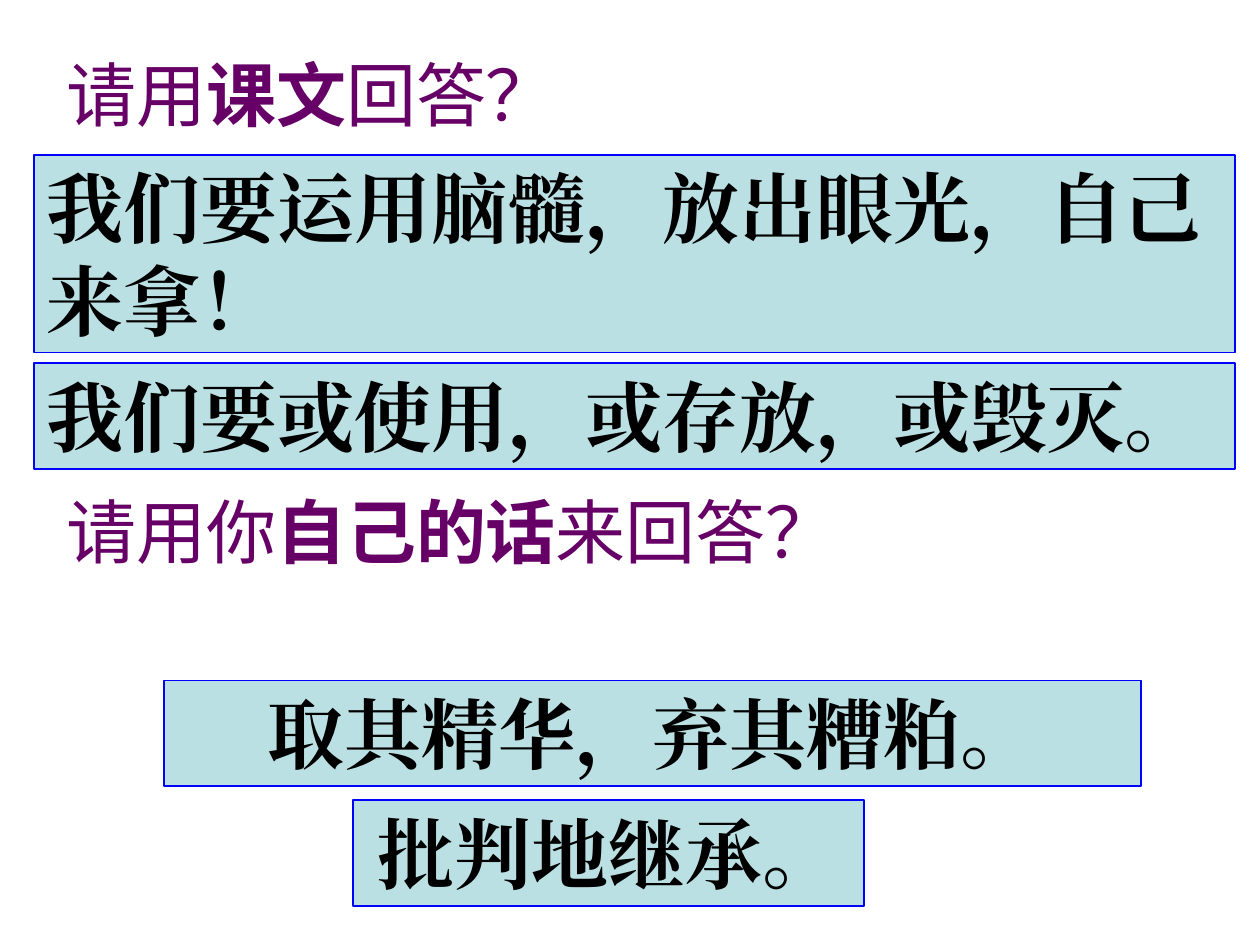
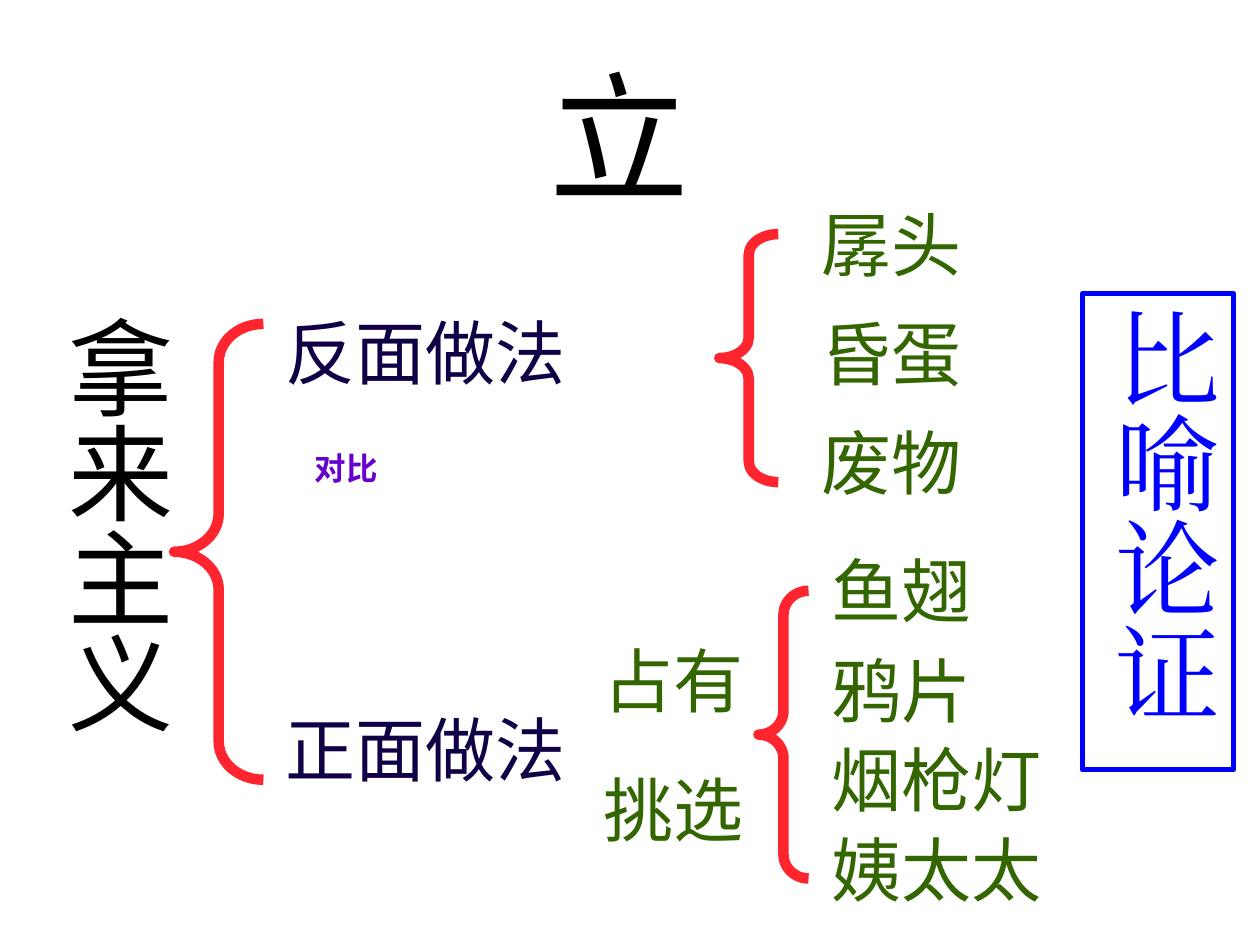
"""Build two lesson slides: questions with answers, and a bracketed outline of an essay."""
from pptx import Presentation
from pptx.dml.color import RGBColor
from pptx.enum.shapes import MSO_SHAPE
from pptx.enum.text import MSO_ANCHOR, PP_ALIGN
from pptx.oxml.ns import qn
from pptx.util import Cm, Pt
from lxml.etree import SubElement

BLACK, WHITE, BLUE = "000000", "FFFFFF", "0000FF"
PALE_BLUE, PURPLE, NAVY, GREEN = "BBE0E3", "660066", "110046", "336600"
RED, VIOLET = "FF252F", "6600CC"
ANSWER = {"size": Pt(44), "name": "Times New Roman", "bold": True}
QUESTION = {"size": Pt(40), "name": "Arial"}
TITLE = {"size": Pt(80), "name": "Arial"}
COLUMN = {"size": Pt(60), "name": "Arial"}
FRAMED_COLUMN = {"size": Pt(60), "name": "Times New Roman"}
CONTRAST = {"size": Pt(18), "name": "Noto Sans CJK SC", "bold": True}


def rgb(value):
    return RGBColor.from_string(value)


def add_text(slide, place, parts, font_format, color, align=PP_ALIGN.LEFT,
             wrap=True, vertical=False, fill=None, line_width=1):
    lengths = [Cm(value) for value in place]
    if fill:
        shape = slide.shapes.add_shape(MSO_SHAPE.RECTANGLE, *lengths)
        shape.shadow.inherit = False
        shape.fill.solid()
        shape.fill.fore_color.rgb = rgb(fill)
        shape.line.color.rgb = rgb(BLUE)
        shape.line.width = Pt(line_width)
    else:
        shape = slide.shapes.add_textbox(*lengths)
    frame = shape.text_frame
    frame.word_wrap = wrap
    frame.vertical_anchor = MSO_ANCHOR.TOP
    if vertical:
        shape.element.txBody.bodyPr.set("vert", "eaVert")
        frame.margin_left = frame.margin_right = Cm(0.13)
        frame.margin_top = frame.margin_bottom = Cm(0.25)
    paragraph = frame.paragraphs[0]
    paragraph.alignment = align
    for index, part in enumerate(parts):
        run = paragraph.add_run()
        run.text = part
        run.font.color.rgb = rgb(color)
        for attribute, value in font_format.items():
            setattr(run.font, attribute, value)
        if index % 2:
            run.font.bold = True
        east_asian = SubElement(run.font._element, qn("a:ea"))
        east_asian.set("typeface", font_format["name"])
        run.font._element.find(qn("a:latin")).addnext(east_asian)
    return shape


presentation = Presentation()
presentation.slide_width, presentation.slide_height = Cm(25.4), Cm(19.05)
blank_layout = presentation.slide_layouts[6]

question_slide = presentation.slides.add_slide(blank_layout)
questions = [
    (0.91, ["请用", "课文", "回答？"]),
    (9.73, ["请用你", "自己的话", "来回答？"]),
]
for top, parts in questions:
    add_text(question_slide, (1.09, top, 23.3, 1.96), parts, QUESTION, PURPLE)

answers = [
    ((0.69, 3.12, 24.21, 3.99), "我们要运用脑髓，放出眼光，自己来拿！", PP_ALIGN.LEFT),
    ((0.69, 7.32, 24.21, 2.13), "我们要或使用，或存放，或毁灭。", PP_ALIGN.LEFT),
    ((3.3, 13.72, 19.71, 2.13), "取其精华，弃其糟粕。", PP_ALIGN.CENTER),
    ((7.11, 16.13, 10.31, 2.13), "批判地继承。", PP_ALIGN.CENTER),
]
for place, answer, align in answers:
    add_text(question_slide, place, [answer], ANSWER, BLACK, align, fill=PALE_BLUE)

outline_slide = presentation.slides.add_slide(blank_layout)
add_text(outline_slide, (21.82, 5.92, 3.05, 9.6), ["比喻论证"], FRAMED_COLUMN, BLUE,
         vertical=True, fill=WHITE, line_width=3)
title = add_text(outline_slide, (0.69, 0.91, 23.6, 3.61), ["立"], TITLE, BLACK, PP_ALIGN.CENTER)
title.text_frame.vertical_anchor = MSO_ANCHOR.MIDDLE
add_text(outline_slide, (0.71, 6.12, 3.05, 10.21), ["拿来主义"], COLUMN, BLACK,
         PP_ALIGN.CENTER, vertical=True)

label_groups = [
    (5.51, NAVY, [(6.12, "反面做法"), (14.12, "正面做法")]),
    (16.31, GREEN, [(3.94, "孱头"), (6.13, "昏蛋"), (8.33, "废物")]),
    (11.91, GREEN, [(12.73, "占有"), (15.32, "挑选")]),
    (16.51, GREEN, [(10.92, "鱼翅"), (12.93, "鸦片"), (14.73, "烟枪灯"), (16.54, "姨太太")]),
]
for left, color, labels in label_groups:
    for top, label in labels:
        width = 0.51 + 1.41 * len(label)
        add_text(outline_slide, (left, top, width, 1.96), [label], QUESTION, color, wrap=False)
add_text(outline_slide, (6.1, 8.92, 5, 4.39), ["对比"], CONTRAST, VIOLET, wrap=False)

braces = [(3.51, 6.53, 1.8, 9.19), (14.5, 4.72, 1.19, 5), (15.29, 11.91, 1.01, 5.8)]
for place in braces:
    brace = outline_slide.shapes.add_shape(MSO_SHAPE.LEFT_BRACE, *[Cm(value) for value in place])
    brace.shadow.inherit = False
    brace.fill.background()
    brace.line.color.rgb = rgb(RED)
    brace.line.width = Pt(6)
    brace.adjustments[0] = place[3] / 12 / place[2]

presentation.save("out.pptx")
